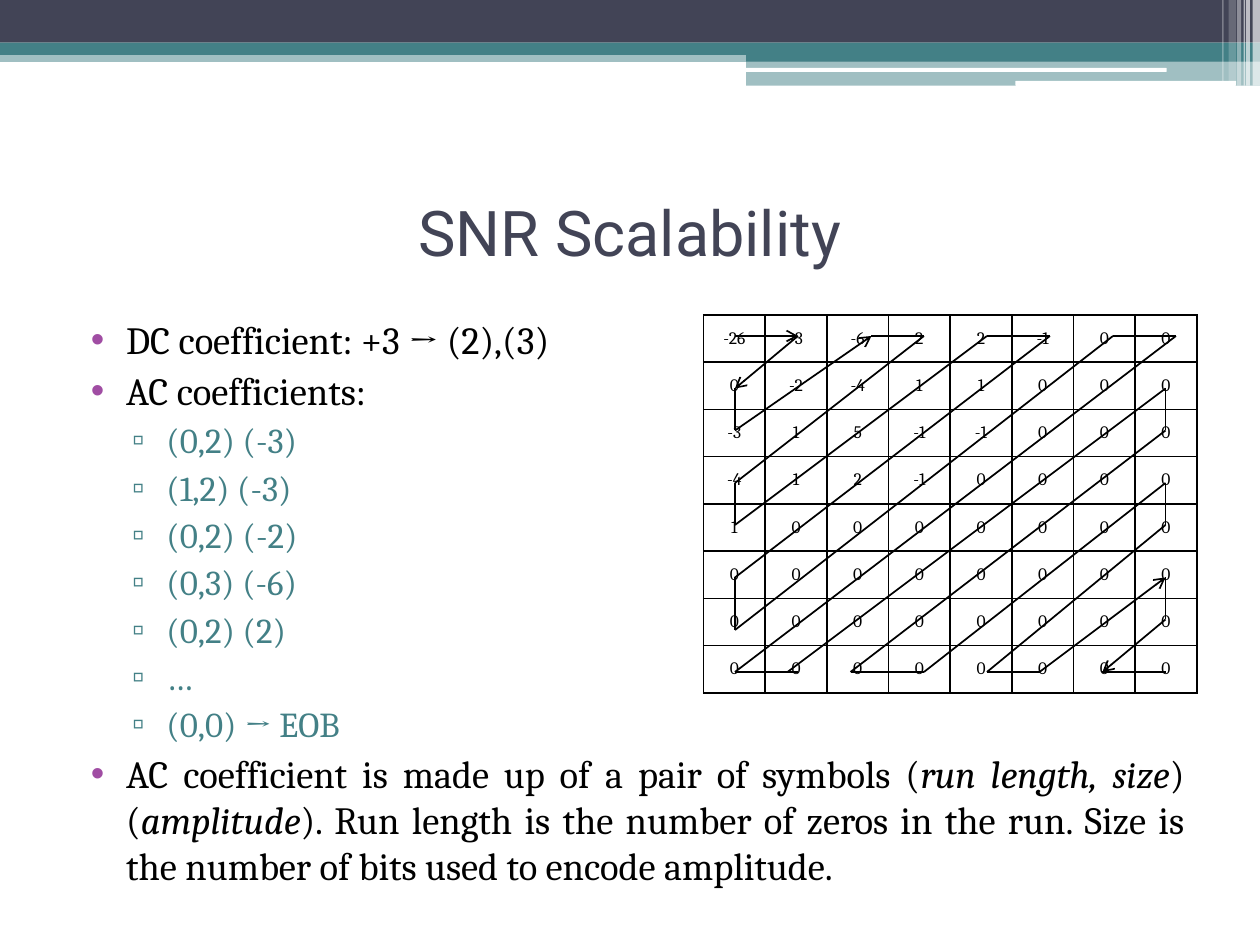
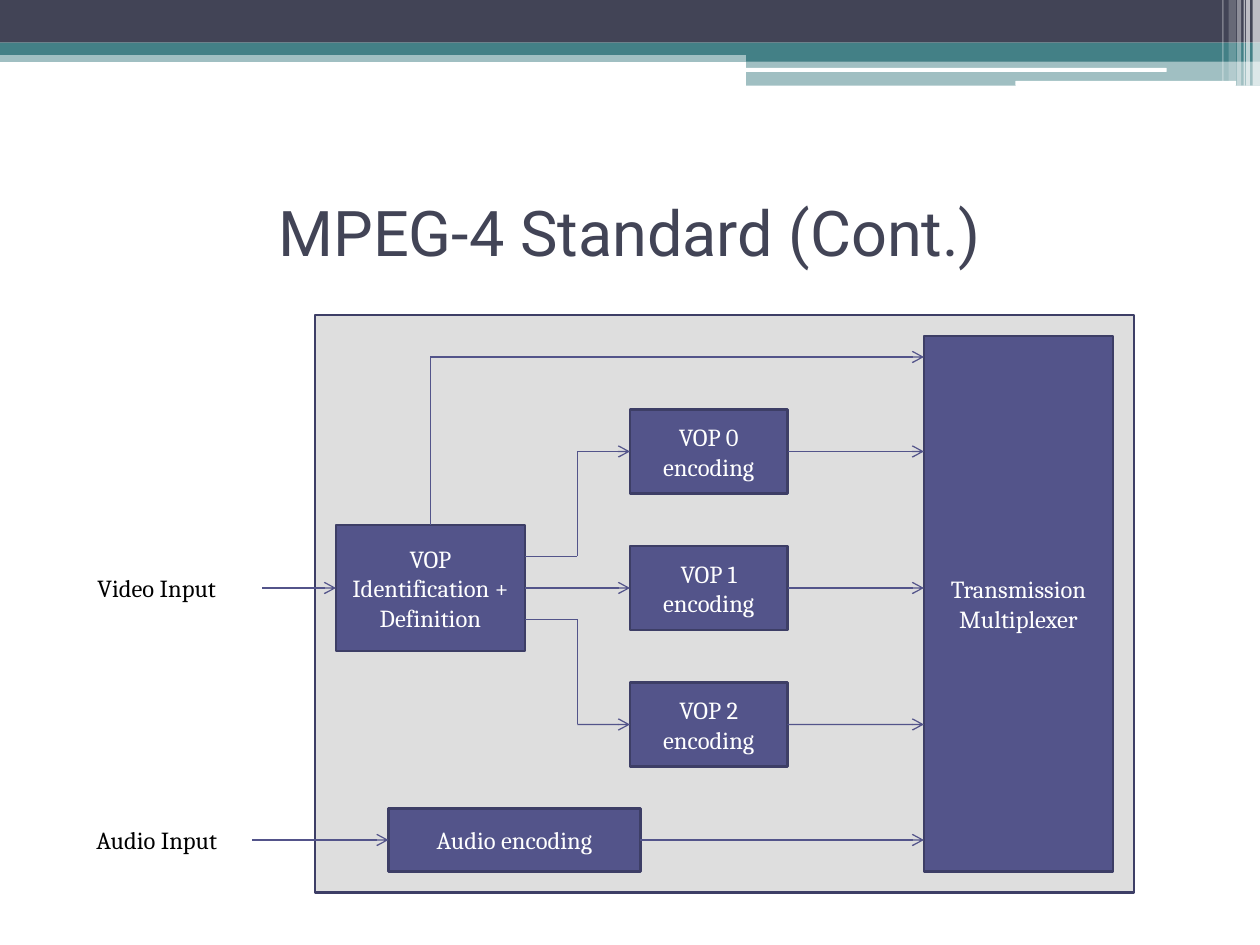
from dataclasses import dataclass
from itertools import pairwise

from lxml.etree import SubElement
from pptx import Presentation
from pptx.dml.color import RGBColor
from pptx.enum.shapes import MSO_CONNECTOR as Line, MSO_SHAPE as Preset
from pptx.enum.text import MSO_ANCHOR as Anchor, MSO_AUTO_SIZE as AutoSize, PP_ALIGN as Align
from pptx.oxml.ns import qn
from pptx.util import Cm, Pt

# Shared look
NAVY, TEAL, PURPLE, EDGE = "424456", "438086", "53548A", "3D3E66"
PLUM, PANEL, WHITE, BLACK = "A04DA3", "DEDEDE", "FFFFFF", "000000"
TITLE_FONT, TEXT_FONT = "Roboto", "Cambria"


@dataclass
class Band:
    left: float
    top: float
    width: float
    height: float
    color: str
    opacity: int = 100
    preset: Preset = Preset.RECTANGLE


@dataclass
class Bullet:
    sign: str
    sign_color: str
    size: int
    color: str
    margin: float
    hang: float


@dataclass
class Block:
    """A diagram box, measured in grid steps."""
    text: str
    left: float
    top: float
    width: float
    height: float


@dataclass
class Link:
    """A diagram line; start and end are grid points or (box name, side)."""
    start: tuple
    end: tuple
    arrow: bool = True


BANDS = [
    Band(0, 1.02, 25.4, 0.23, TEAL, 50),
    Band(0, 0, 25.4, 0.86, NAVY),
    Band(0, 0.86, 25.4, 0.25, TEAL),
    Band(15.04, 0.99, 10.36, 0.25, TEAL),
    Band(15.04, 1.23, 10.36, 0.5, TEAL, 50),
    Band(15.01, 1.37, 8.51, 0.08, WHITE, preset=Preset.ROUNDED_RECTANGLE),
    Band(20.47, 1.63, 4.45, 0.1, WHITE, preset=Preset.ROUNDED_RECTANGLE),
    Band(25.25, 0, 0.15, 1.73, WHITE, 65),
    Band(25.12, 0, 0.08, 1.73, WHITE, 65),
    Band(25.07, 0, 0.03, 1.73, WHITE, 60),
    Band(24.94, 0, 0.08, 1.73, WHITE, 40),
    Band(24.77, 0, 0.15, 1.63, WHITE, 20),
    Band(24.64, 0, 0.03, 1.63, WHITE, 30),
]

BULLETS = [
    Bullet("•", PLUM, 22, BLACK, 1.02, 0.71),
    Bullet("▫", TEAL, 20, TEAL, 1.83, 0.69),
]

# Level and text; underscores enclose italics
SNR_POINTS = [
    (0, "DC coefficient: +3 → (2),(3)"),
    (0, "AC coefficients:"),
    (1, "(0,2) (-3)"),
    (1, "(1,2) (-3)"),
    (1, "(0,2) (-2)"),
    (1, "(0,3) (-6)"),
    (1, "(0,2) (2)"),
    (1, "…"),
    (1, "(0,0) → EOB"),
    (0, "AC coefficient is made up of a pair of symbols (_run length, size_) "
        "(_amplitude_). Run length is the number of zeros in the run. "
        "Size is the number of bits used to encode amplitude."),
]

# Leading values of each row; the rest are zeros
COEFFICIENTS = [
    [-26, -3, -6, 2, 2, -1], [0, -2, -4, 1, 1], [-3, 1, 5, -1, -1],
    [-4, 1, 2, -1], [1], [], [], [],
]

ZIGZAG = [
    [(70, 32), (76, 32), (70, 37), (70, 41), (83, 32), (88, 32), (70, 46),
     (70, 50), (94, 32), (100, 32), (70, 55), (70, 60), (106, 32), (112, 32),
     (70, 64), (76, 64)],
    [(75, 64), (111, 37), (111, 41), (81, 64), (88, 64), (111, 46), (111, 50),
     (94, 64), (99, 64), (111, 55), (111, 59), (105, 64), (111, 64)],
]
ARROW_TIPS = {(76, 32), (70, 37), (83, 32), (111, 55), (105, 64)}

TOP, LEFT, RIGHT = 0, 1, 3
BLOCKS = {
    "identify": Block("VOP\nIdentification + Definition", 32, 50, 18, 12),
    "audio": Block("Audio encoding", 37, 77, 24, 6),
    **{f"vop{n}": Block(f"VOP {n} encoding", 60, 39 + 13 * n, 15, 8) for n in range(3)},
    "multiplexer": Block("Transmission Multiplexer", 88, 32, 18, 51),
}
LINKS = [
    Link(("identify", RIGHT), ("vop1", LEFT)),
    Link((55, 43), ("vop0", LEFT)),
    Link((55, 69), ("vop2", LEFT)),
    Link((55, 43), (55, 53), arrow=False),
    Link((50, 53), (55, 53), arrow=False),
    Link((50, 59), (55, 59), arrow=False),
    Link((55, 59), (55, 69), arrow=False),
    *[Link((f"vop{n}", RIGHT), (88, 43 + 13 * n)) for n in range(3)],
    Link(("audio", RIGHT), (88, 80)),
    Link((41, 34), (88, 34)),
    Link((41, 34), ("identify", TOP), arrow=False),
    Link((25, 56), ("identify", LEFT)),
    Link((24, 80), ("audio", LEFT)),
]
INPUTS = [("Video Input", 8.1, 54), ("Audio Input", 8, 78)]


def rgb(color: str) -> RGBColor:
    return RGBColor.from_string(color)


def grid(*steps: float) -> list[Cm]:
    """Lengths on a grid of twelve steps to the inch."""
    return [Cm(step * 2.54 / 12) for step in steps]


def style(para, size: float, color: str, font: str = TEXT_FONT, align=None) -> None:
    para.alignment = align
    para.font.size = Pt(size)
    para.font.name = font
    para.font.color.rgb = rgb(color)


def add_band(page, band: Band):
    shape = page.shapes.add_shape(
        band.preset, Cm(band.left), Cm(band.top), Cm(band.width), Cm(band.height))
    shape.shadow.inherit = False
    shape.fill.solid()
    shape.fill.fore_color.rgb = rgb(band.color)
    shape.line.fill.background()
    if band.opacity < 100:
        color = shape.element.xpath("./p:spPr/a:solidFill/a:srgbClr")[0]
        SubElement(color, qn("a:alpha"), val=str(band.opacity * 1000))
    return shape


def move_bands_to_master(deck, page) -> None:
    """Draw the bands on a page, then place them behind everything on the master."""
    tree = deck.slide_master.shapes.element
    for index, band in enumerate(BANDS):
        element = add_band(page, band).element
        element.xpath("./p:nvSpPr/p:cNvPr")[0].set("id", str(100 + index))
        tree.insert(2 + index, element)


def set_title(page, text: str) -> None:
    title = page.shapes.title
    title.left, title.top, title.width, title.height = grid(6, 15, 108, 14)
    frame = title.text_frame
    frame.text = text
    frame.vertical_anchor = Anchor.MIDDLE
    frame.auto_size = AutoSize.NONE
    style(frame.paragraphs[0], 36, NAVY, TITLE_FONT, Align.CENTER)


def set_bullet(para, bullet: Bullet) -> None:
    props = para._p.get_or_add_pPr()
    props.set("marL", str(Cm(bullet.margin)))
    props.set("indent", str(-Cm(bullet.hang)))
    color = SubElement(props, qn("a:buClr"))
    SubElement(color, qn("a:srgbClr"), val=bullet.sign_color)
    SubElement(props, qn("a:buChar"), char=bullet.sign)


def fill_body(page, points: list[tuple[int, str]]) -> None:
    body = page.placeholders[1]
    body.left, body.top, body.width, body.height = grid(6, 29.5, 108, 58.5)
    frame = body.text_frame
    frame.auto_size = AutoSize.NONE
    for index, (level, text) in enumerate(points):
        para = frame.add_paragraph() if index else frame.paragraphs[0]
        bullet = BULLETS[level]
        para.level = level
        para.space_before = Pt(3)
        set_bullet(para, bullet)
        style(para, bullet.size, bullet.color, align=Align.JUSTIFY)
        for part, words in enumerate(text.split("_")):
            span = para.add_run()
            span.text = words
            if part % 2:
                span.font.italic = True


def set_borders(cell) -> None:
    props = cell._tc.get_or_add_tcPr()
    for index, side in enumerate(("lnL", "lnR", "lnT", "lnB")):
        border = props.makeelement(qn(f"a:{side}"), {"w": str(Pt(1))})
        props.insert(index, border)
        fill = SubElement(border, qn("a:solidFill"))
        SubElement(fill, qn("a:srgbClr"), val=BLACK)


def add_coefficients(page) -> None:
    count = len(COEFFICIENTS)
    table = page.shapes.add_table(count, count, *grid(67, 30, 47, 36)).table
    table.first_row = table.horz_banding = False
    for row, values in enumerate(COEFFICIENTS):
        for column, value in enumerate(values + [0] * (count - len(values))):
            cell = table.cell(row, column)
            cell.margin_left = cell.margin_right = cell.margin_top = cell.margin_bottom = 0
            cell.vertical_anchor = Anchor.MIDDLE
            cell.fill.background()
            cell.text = str(value)
            style(cell.text_frame.paragraphs[0], 10, BLACK, align=Align.CENTER)
            set_borders(cell)


def add_line(page, start: tuple, end: tuple, color: str, width: float, arrow: bool):
    line = page.shapes.add_connector(Line.STRAIGHT, *grid(*start, *end))
    line.line.color.rgb = rgb(color)
    line.line.width = Pt(width)
    if arrow:
        SubElement(line.line._get_or_add_ln(), qn("a:tailEnd"), type="arrow")
    SubElement(line.element.spPr, qn("a:effectLst"))
    return line


def add_block(page, block: Block, color: str = PURPLE):
    box = page.shapes.add_shape(
        Preset.RECTANGLE, *grid(block.left, block.top, block.width, block.height))
    box.shadow.inherit = False
    box.fill.solid()
    box.fill.fore_color.rgb = rgb(color)
    box.line.color.rgb = rgb(EDGE)
    box.line.width = Pt(1.5)
    if block.text:
        box.text_frame.text = block.text
        box.text_frame.vertical_anchor = Anchor.MIDDLE
        for para in box.text_frame.paragraphs:
            style(para, 14, WHITE, align=Align.CENTER)
    return box


def add_link(page, link: Link, boxes: dict) -> None:
    joins = [point if point[0] in boxes else None for point in (link.start, link.end)]
    places = [(0, 0) if join else point for join, point in zip(joins, (link.start, link.end))]
    line = add_line(page, *places, PURPLE, 0.75, link.arrow)
    for join, connect in zip(joins, (line.begin_connect, line.end_connect)):
        if join:
            name, side = join
            connect(boxes[name], side)


def build_snr_page(page) -> None:
    set_title(page, "SNR Scalability")
    fill_body(page, SNR_POINTS)
    add_coefficients(page)
    for track in ZIGZAG:
        for start, end in pairwise(track):
            add_line(page, start, end, BLACK, 1, end in ARROW_TIPS)


def build_mpeg_page(page) -> None:
    add_block(page, Block("", 30, 30, 78, 55), PANEL)
    set_title(page, "MPEG-4 Standard (Cont.)")
    boxes = {name: add_block(page, block) for name, block in BLOCKS.items()}
    for link in LINKS:
        add_link(page, link, boxes)
    for text, left, top in INPUTS:
        label = page.shapes.add_textbox(*grid(left, top, 15, 4))
        label.text_frame.word_wrap = False
        label.text_frame.text = text
        style(label.text_frame.paragraphs[0], 14, BLACK)


def main() -> None:
    deck = Presentation()
    deck.slide_width, deck.slide_height = Cm(25.4), Cm(19.05)
    snr_page = deck.slides.add_slide(deck.slide_layouts[1])
    mpeg_page = deck.slides.add_slide(deck.slide_layouts[5])
    move_bands_to_master(deck, snr_page)
    build_snr_page(snr_page)
    build_mpeg_page(mpeg_page)
    deck.save("out.pptx")


if __name__ == "__main__":
    main()
